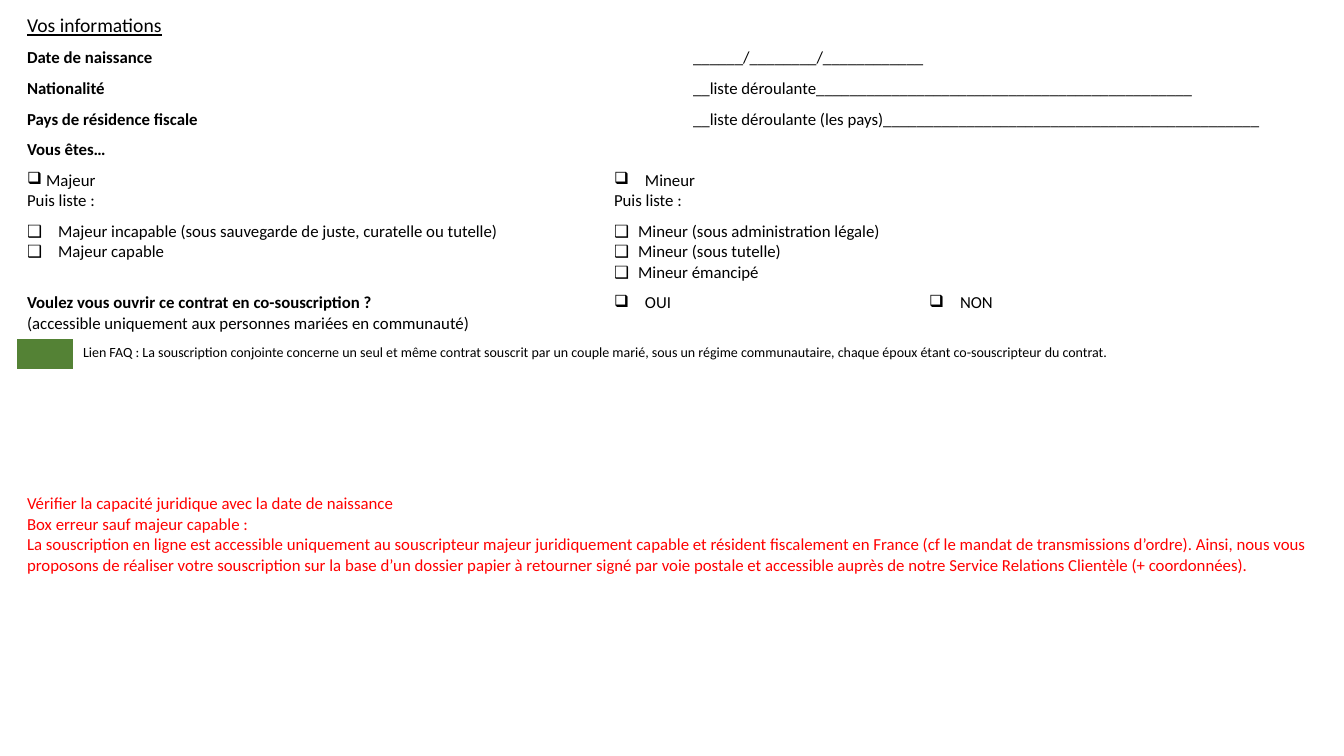
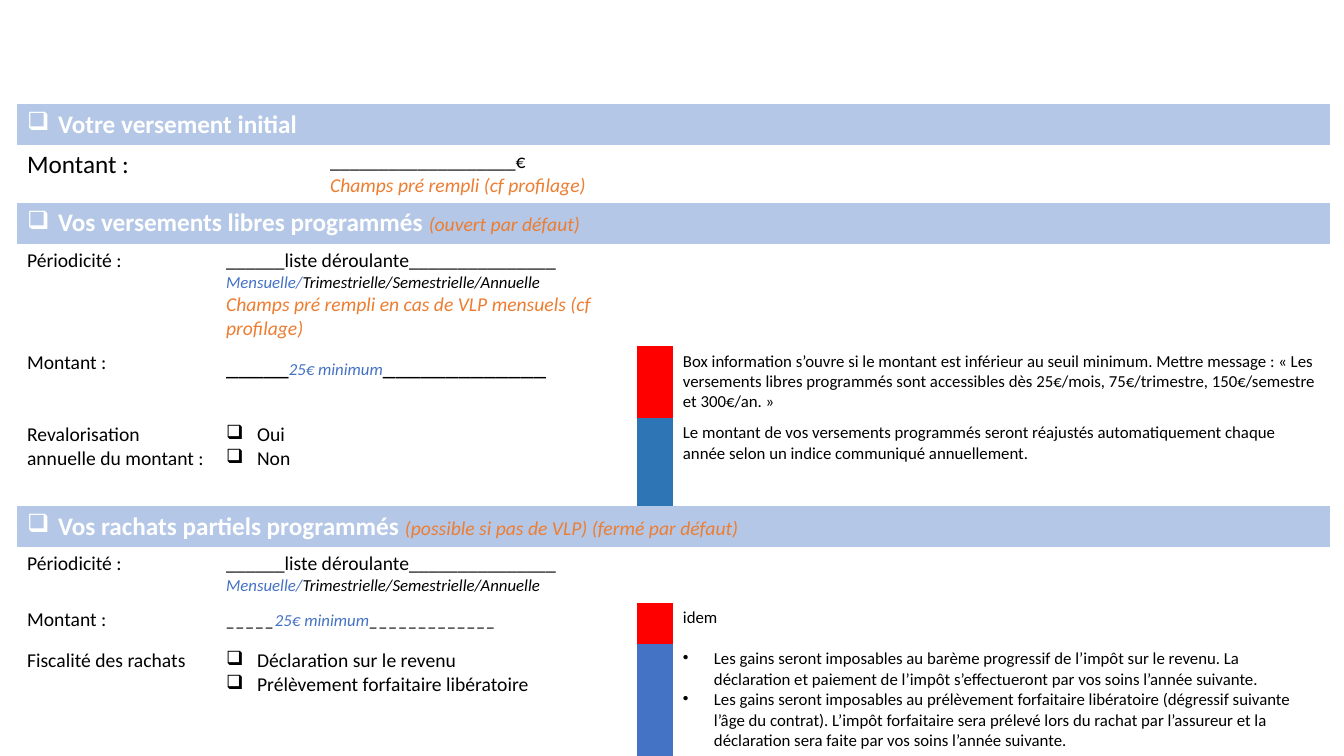
from dataclasses import dataclass

from lxml import etree
from pptx import Presentation
from pptx.dml.color import RGBColor
from pptx.oxml.ns import qn
from pptx.util import Pt

# Shared look
FONT = "Calibri"
BLACK, WHITE, RED = "000000", "FFFFFF", "FF0000"
ORANGE, BLUE, DEEP_BLUE = "ED7D31", "4472C4", "2E75B6"
BAND_BLUE, GREEN = "B4C7E7", "548235"
CHECKBOX, DOT = "❑", "•"
NO_STYLE_NO_GRID = "{2D5ABB26-0587-4C30-8999-92F81FD0307C}"
BLANK_LAYOUT = 6
EMU_PER_PX = 914400 / 100.8


@dataclass(frozen=True)
class Span:
    text: str
    size: int = 12
    color: str = BLACK
    bold: bool = False
    italic: bool = False
    underline: bool = False


@dataclass(frozen=True)
class Para:
    spans: tuple[Span, ...]
    mark: str = ""
    indent: int = 31


@dataclass(frozen=True)
class Cell:
    columns: int = 1
    paras: tuple[Para, ...] = ()
    fill: str = ""


@dataclass(frozen=True)
class Row:
    height: int
    cells: tuple[Cell, ...]


def px(length: int) -> int:
    return round(length * EMU_PER_PX)


def rgb(color: str) -> RGBColor:
    return RGBColor.from_string(color)


def line(text: str, size: int = 12, mark: str = "", indent: int = 31, **style) -> Para:
    return Para((Span(text, size, **style),), mark, indent)


def cell(columns: int, *paras: Para, fill: str = "") -> Cell:
    return Cell(columns, paras, fill)


def lines(columns: int, *texts: str, **style) -> Cell:
    """A cell whose lines all share one style."""
    return cell(columns, *(line(text, **style) for text in texts))


def set_font(font, span: Span) -> None:
    font.name = FONT
    font.size = Pt(span.size)
    font.bold = span.bold
    font.italic = span.italic
    font.underline = span.underline
    font.color.rgb = rgb(span.color)


def write_para(paragraph, para: Para) -> None:
    if para.mark:
        properties = paragraph._p.get_or_add_pPr()
        properties.set("marL", str(px(para.indent)))
        properties.set("indent", str(-px(para.indent)))
        etree.SubElement(properties, qn("a:buChar"), char=para.mark)
    if len(para.spans) == 1:
        set_font(paragraph.font, para.spans[0])
    for span in para.spans:
        run = paragraph.add_run()
        run.text = span.text
        if len(para.spans) > 1:
            set_font(run.font, span)


def write_cell(table_cell, content: Cell) -> None:
    if content.fill:
        table_cell.fill.solid()
        table_cell.fill.fore_color.rgb = rgb(content.fill)
    frame = table_cell.text_frame
    for index, para in enumerate(content.paras):
        paragraph = frame.add_paragraph() if index else frame.paragraphs[0]
        write_para(paragraph, para)


def add_form(deck, left: int, top: int, widths: list[int], rows: list[Row]) -> None:
    """Add a slide holding one unruled table."""
    page = deck.slides.add_slide(deck.slide_layouts[BLANK_LAYOUT])
    height = sum(row.height for row in rows)
    frame = page.shapes.add_table(
        len(rows), len(widths), px(left), px(top), px(sum(widths)), px(height))
    table = frame.table
    table.first_row = False
    table.horz_banding = False
    table._tbl.tblPr.find(qn("a:tableStyleId")).text = NO_STYLE_NO_GRID
    for column, width in zip(table.columns, widths):
        column.width = px(width)
    for row_index, row in enumerate(rows):
        table.rows[row_index].height = px(row.height)
        for table_cell in table.rows[row_index].cells:
            table_cell.fill.background()
        column_index = 0
        for content in row.cells:
            first = table.cell(row_index, column_index)
            column_index += content.columns
            if content.columns > 1:
                first.merge(table.cell(row_index, column_index - 1))
            write_cell(first, content)
        # Keep empty cells from stretching the row
        for table_cell in table.rows[row_index].cells:
            paragraph = table_cell.text_frame.paragraphs[0]
            if not paragraph.runs:
                etree.SubElement(paragraph._p, qn("a:endParaRPr"), sz="1000")


# Slide 1: personal information
def field_row(label: str, answer: str) -> Row:
    return Row(30, (lines(5, label, bold=True), lines(2, answer)))


BLANK_LINE = "_" * 45
INFORMATION_WIDTHS = [31, 25, 531, 24, 55, 236, 419]
INFORMATION_ROWS = [
    Row(34, (lines(5, "Vos informations", size=14, underline=True), cell(2))),
    field_row("Date de naissance", "______/________/____________"),
    field_row("Nationalité", "__liste déroulante" + BLANK_LINE),
    field_row("Pays de résidence fiscale", "__liste déroulante (les pays)" + BLANK_LINE),
    Row(30, (lines(7, "Vous êtes…", bold=True),)),
    Row(51, (
        cell(3, line("Majeur", mark=CHECKBOX, indent=19), line("Puis liste :")),
        cell(4, line("Mineur", mark=CHECKBOX), line("Puis liste :")),
    )),
    Row(71, (
        lines(1, *[CHECKBOX] * 2),
        lines(2, "Majeur incapable (sous sauvegarde de juste, curatelle ou tutelle)",
              "Majeur capable"),
        lines(1, *[CHECKBOX] * 3),
        lines(3, "Mineur (sous administration légale)", "Mineur (sous tutelle)",
              "Mineur émancipé"),
    )),
    Row(51, (
        cell(3, line("Voulez vous ouvrir ce contrat en co-souscription ?", bold=True),
             line("(accessible uniquement aux personnes mariées en communauté)")),
        lines(3, "OUI", mark=CHECKBOX),
        lines(1, "NON", mark=CHECKBOX),
    )),
    Row(30, (
        cell(2, fill=GREEN),
        lines(5, "Lien FAQ : La souscription conjointe concerne un seul et même contrat "
              "souscrit par un couple marié, sous un régime communautaire, chaque époux "
              "étant co-souscripteur du contrat.", size=10),
    )),
    *[Row(30, (cell(3), cell(3), cell(1)))] * 4,
    Row(92, (lines(
        7,
        "Vérifier la capacité juridique avec la date de naissance",
        "Box erreur sauf majeur capable :",
        "La souscription en ligne est accessible uniquement au souscripteur majeur "
        "juridiquement capable et résident fiscalement en France (cf le mandat de "
        "transmissions d’ordre). Ainsi, nous vous proposons de réaliser votre "
        "souscription sur la base d’un dossier papier à retourner signé par voie postale "
        "et accessible auprès de notre Service Relations Clientèle (+ coordonnées).",
        color=RED),)),
]


# Slide 2: payments and withdrawals
def band_row(title: str, note: str = "") -> Row:
    spans = (Span(title, 18, WHITE, bold=True),)
    if note:
        spans += (Span(note, 14, ORANGE, italic=True),)
    return Row(41 if note else 40, (cell(5, Para(spans, CHECKBOX), fill=BAND_BLUE),))


def period_row(height: int, *notes: Para) -> Row:
    frequencies = Para((
        Span("Mensuelle/", color=BLUE, italic=True),
        Span("Trimestrielle/Semestrielle/Annuelle", italic=True),
    ))
    return Row(height, (
        lines(1, "Périodicité :", size=14),
        cell(2, line("______liste déroulante_______________", 14), frequencies, *notes),
        cell(1), cell(1),
    ))


def amount_row(height: int, size: int, italic: bool, message: str) -> Row:
    amount = Para((
        Span("_" * 5, size, italic=italic),
        Span("25€ minimum", color=BLUE, italic=True),
        Span("_" * 13, size, italic=italic),
    ))
    return Row(height, (
        lines(1, "Montant :", size=14), cell(2, amount),
        cell(1, fill=RED), lines(1, message),
    ))


def choice_row(height: int, label: str, choices: list[str], fill: str, help_cell: Cell) -> Row:
    return Row(height, (
        lines(1, label, size=14), lines(2, *choices, size=14, mark=CHECKBOX),
        cell(1, fill=fill), help_cell,
    ))


PAYMENT_WIDTHS = [199, 104, 317, 36, 657]
PAYMENT_ROWS = [
    band_row("Votre versement initial"),
    Row(58, (
        lines(2, "Montant :", size=18),
        cell(3, line("___________________€", 14),
             line("Champs pré rempli (cf profilage)", 14, color=ORANGE, italic=True)),
    )),
    band_row("Vos versements libres programmés ", "(ouvert par défaut)"),
    period_row(102, line("Champs pré rempli en cas de VLP mensuels (cf profilage)", 14,
                         color=ORANGE, italic=True)),
    amount_row(72, 18, False,
               "Box information s’ouvre si le montant est inférieur au seuil minimum. "
               "Mettre message : « Les versements libres programmés sont accessibles dès "
               "25€/mois, 75€/trimestre, 150€/semestre et 300€/an. »"),
    choice_row(88, "Revalorisation annuelle du montant :", ["Oui", "Non"], DEEP_BLUE,
               lines(1, "Le montant de vos versements programmés seront réajustés "
                     "automatiquement chaque année selon un indice communiqué "
                     "annuellement.")),
    band_row("Vos rachats partiels programmés ",
             "(possible si pas de VLP) (fermé par défaut)"),
    period_row(56),
    amount_row(41, 14, True, "idem"),
    choice_row(113, "Fiscalité des rachats",
               ["Déclaration sur le revenu", "Prélèvement forfaitaire libératoire"], BLUE,
               lines(1, "Les gains seront imposables au barème progressif de l’impôt sur le "
                     "revenu. La déclaration et paiement de l’impôt s’effectueront par vos "
                     "soins l’année suivante.",
                     "Les gains seront imposables au prélèvement forfaitaire libératoire "
                     "(dégressif suivante l’âge du contrat). L’impôt forfaitaire sera "
                     "prélevé lors du rachat par l’assureur et la déclaration sera faite "
                     "par vos soins l’année suivante.", mark=DOT)),
]


def main() -> None:
    deck = Presentation()
    deck.slide_width, deck.slide_height = px(1344), px(756)
    add_form(deck, 17, 9, INFORMATION_WIDTHS, INFORMATION_ROWS)
    add_form(deck, 17, 104, PAYMENT_WIDTHS, PAYMENT_ROWS)
    deck.save("out.pptx")


if __name__ == "__main__":
    main()
